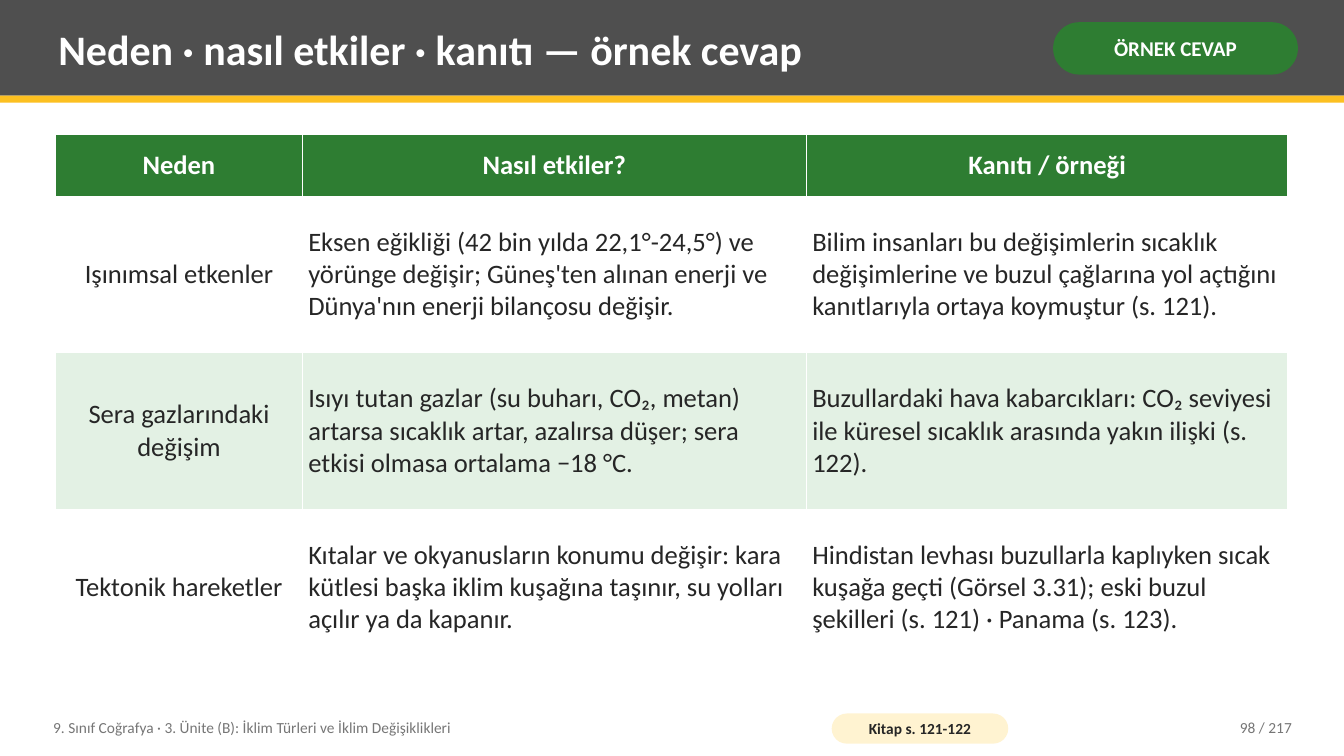
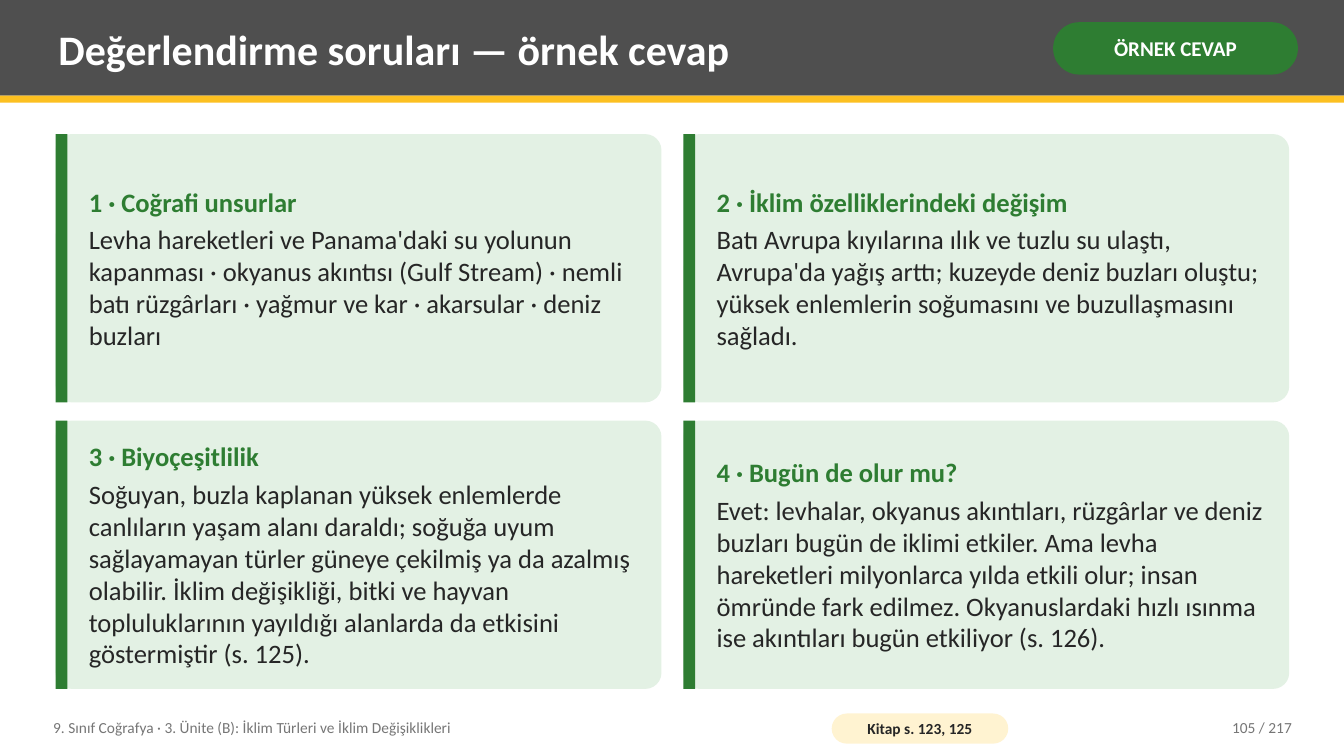
"""Build two sample-answer slides of a geography lesson: a cause table and four answer cards."""
from dataclasses import dataclass
from itertools import product

from lxml.etree import SubElement
from pptx import Presentation
from pptx.enum.shapes import MSO_SHAPE as Preset
from pptx.enum.text import MSO_ANCHOR as Anchor, MSO_AUTO_SIZE as AutoSize, PP_ALIGN as Align
from pptx.oxml.ns import qn
from pptx.dml.color import RGBColor
from pptx.util import Cm, Pt

COLORS = {
    "band": "4F4F4F",
    "accent": "FCC021",
    "green": "2E7D32",
    "mint": "E3F1E4",
    "cream": "FFF3D1",
    "ink": "262626",
    "muted": "767676",
    "white": "FFFFFF",
}
FONT = "Calibri"
SLIDE_WIDTH, SLIDE_HEIGHT = 33.87, 19.05
CONTENT_LEFT, CONTENT_TOP = 1.4, 3.38
TITLE_ONLY = 5
BADGE = "ÖRNEK CEVAP"
UNIT = "9. Sınıf Coğrafya · 3. Ünite (B): İklim Türleri ve İklim Değişiklikleri"
PAGE_TOTAL = 217


@dataclass(frozen=True)
class Box:
    left: float
    top: float
    width: float
    height: float

    def lengths(self) -> tuple:
        return Cm(self.left), Cm(self.top), Cm(self.width), Cm(self.height)


@dataclass(frozen=True)
class Style:
    size: int
    color: str
    bold: bool = False
    align: Align = Align.LEFT
    space_after: int = 0


@dataclass(frozen=True)
class Page:
    title: str
    book_pages: str
    number: int


@dataclass(frozen=True)
class Answer:
    heading: str
    body: str


TITLE = Style(30, "white", True)
BADGE_LABEL = Style(15, "white", True, Align.CENTER)
HEADER = Style(19, "white", True, Align.CENTER)
CAUSE = Style(19, "ink", align=Align.CENTER)
BODY = Style(19, "ink")
CARD_HEADING = Style(19, "green", True, space_after=4)
FOOTER = Style(11, "muted")
PAGE_NUMBER = Style(11, "muted", align=Align.RIGHT)
BOOK_LABEL = Style(11, "ink", True, Align.CENTER)

TABLE_PAGE = Page("Neden · nasıl etkiler · kanıtı — örnek cevap", "Kitap s. 121-122", 98)
CARDS_PAGE = Page("Değerlendirme soruları — örnek cevap", "Kitap s. 123, 125", 105)

COLUMN_WIDTHS = (6.22, 12.7, 12.14)
HEADER_HEIGHT, ROW_HEIGHT = 1.57, 3.94
CAUSES = (
    ("Neden", "Nasıl etkiler?", "Kanıtı / örneği"),
    (
        "Işınımsal etkenler",
        "Eksen eğikliği (42 bin yılda 22,1°-24,5°) ve yörünge değişir; "
        "Güneş'ten alınan enerji ve Dünya'nın enerji bilançosu değişir.",
        "Bilim insanları bu değişimlerin sıcaklık değişimlerine ve buzul çağlarına "
        "yol açtığını kanıtlarıyla ortaya koymuştur (s. 121).",
    ),
    (
        "Sera gazlarındaki değişim",
        "Isıyı tutan gazlar (su buharı, CO₂, metan) artarsa sıcaklık artar, "
        "azalırsa düşer; sera etkisi olmasa ortalama −18 °C.",
        "Buzullardaki hava kabarcıkları: CO₂ seviyesi ile küresel sıcaklık "
        "arasında yakın ilişki (s. 122).",
    ),
    (
        "Tektonik hareketler",
        "Kıtalar ve okyanusların konumu değişir: kara kütlesi başka iklim kuşağına "
        "taşınır, su yolları açılır ya da kapanır.",
        "Hindistan levhası buzullarla kaplıyken sıcak kuşağa geçti (Görsel 3.31); "
        "eski buzul şekilleri (s. 121) · Panama (s. 123).",
    ),
)

CARD_WIDTH, CARD_HEIGHT = 15.27, 6.76
CARD_GAP_X, CARD_GAP_Y = 0.55, 0.46
ANSWERS = (
    Answer(
        "1 · Coğrafi unsurlar",
        "Levha hareketleri ve Panama'daki su yolunun kapanması · okyanus akıntısı "
        "(Gulf Stream) · nemli batı rüzgârları · yağmur ve kar · akarsular · deniz buzları",
    ),
    Answer(
        "2 · İklim özelliklerindeki değişim",
        "Batı Avrupa kıyılarına ılık ve tuzlu su ulaştı, Avrupa'da yağış arttı; kuzeyde deniz "
        "buzları oluştu; yüksek enlemlerin soğumasını ve buzullaşmasını sağladı.",
    ),
    Answer(
        "3 · Biyoçeşitlilik",
        "Soğuyan, buzla kaplanan yüksek enlemlerde canlıların yaşam alanı daraldı; soğuğa uyum "
        "sağlayamayan türler güneye çekilmiş ya da azalmış olabilir. İklim değişikliği, bitki ve "
        "hayvan topluluklarının yayıldığı alanlarda da etkisini göstermiştir (s. 125).",
    ),
    Answer(
        "4 · Bugün de olur mu?",
        "Evet: levhalar, okyanus akıntıları, rüzgârlar ve deniz buzları bugün de iklimi etkiler. "
        "Ama levha hareketleri milyonlarca yılda etkili olur; insan ömründe fark edilmez. "
        "Okyanuslardaki hızlı ısınma ise akıntıları bugün etkiliyor (s. 126).",
    ),
)


def rgb(color: str) -> RGBColor:
    return RGBColor.from_string(COLORS[color])


def set_margins(target, side: float, edge: float) -> None:
    target.margin_left = target.margin_right = Cm(side)
    target.margin_top = target.margin_bottom = Cm(edge)


def write(frame, *lines: tuple[str, Style]) -> None:
    for index, (text, style) in enumerate(lines):
        paragraph = frame.add_paragraph() if index else frame.paragraphs[0]
        paragraph.text = text
        paragraph.alignment = style.align
        paragraph.space_before = Pt(0)
        paragraph.space_after = Pt(style.space_after)
        font = paragraph.font
        font.name, font.size, font.bold = FONT, Pt(style.size), style.bold
        font.color.rgb = rgb(style.color)


def write_frame(frame, *lines: tuple[str, Style], side: float = 0.2, edge: float = 0.1) -> None:
    frame.word_wrap = True
    frame.auto_size = AutoSize.NONE
    frame.vertical_anchor = Anchor.MIDDLE
    set_margins(frame, side, edge)
    write(frame, *lines)


def add_text(slide, box: Box, *lines: tuple[str, Style]) -> None:
    write_frame(slide.shapes.add_textbox(*box.lengths()).text_frame, *lines)


def add_block(slide, box: Box, color: str, rounding: float = 0):
    preset = Preset.ROUNDED_RECTANGLE if rounding else Preset.RECTANGLE
    block = slide.shapes.add_shape(preset, *box.lengths())
    if rounding:
        block.adjustments[0] = rounding
    block.shadow.inherit = False
    block.fill.solid()
    block.fill.fore_color.rgb = rgb(color)
    block.line.fill.background()
    return block


def add_page(deck, page: Page):
    slide = deck.slides.add_slide(deck.slide_layouts[TITLE_ONLY])
    title = slide.shapes.title
    title.left, title.top, title.width, title.height = Box(1.27, 0.18, 24.77, 2.08).lengths()
    write_frame(title.text_frame, (page.title, TITLE))
    for top, height, color in ((0, 2.41, "band"), (2.41, 0.18, "accent")):
        band = add_block(slide, Box(0, top, SLIDE_WIDTH, height), color)
        title.element.addprevious(band.element)

    badge = add_block(slide, Box(26.54, 0.56, 6.17, 1.32), "green", 0.5)
    write_frame(badge.text_frame, (BADGE, BADGE_LABEL), side=0.13, edge=0.05)

    add_text(slide, Box(1.14, 17.88, 19.3, 0.91), (UNIT, FOOTER))
    book = add_block(slide, Box(20.96, 17.98, 4.45, 0.76), "cream", 0.5)
    write_frame(book.text_frame, (page.book_pages, BOOK_LABEL), side=0.1, edge=0)
    add_text(slide, Box(28.7, 17.88, 4.06, 0.91), (f"{page.number} / {PAGE_TOTAL}", PAGE_NUMBER))
    return slide


def add_borders(cell, color: str, width: float) -> None:
    properties = cell._tc.get_or_add_tcPr()
    for side in ("a:lnL", "a:lnR", "a:lnT", "a:lnB"):
        line = SubElement(properties, qn(side), w=str(Pt(width)))
        SubElement(SubElement(line, qn("a:solidFill")), qn("a:srgbClr"), val=COLORS[color])


def add_cause_table(slide) -> None:
    row_heights = [HEADER_HEIGHT] + [ROW_HEIGHT] * (len(CAUSES) - 1)
    box = Box(CONTENT_LEFT, CONTENT_TOP, sum(COLUMN_WIDTHS), sum(row_heights))
    table = slide.shapes.add_table(len(CAUSES), len(COLUMN_WIDTHS), *box.lengths()).table
    table.horz_banding = False
    for column, width in zip(table.columns, COLUMN_WIDTHS):
        column.width = Cm(width)
    for row, height in zip(table.rows, row_heights):
        row.height = Cm(height)
    for row_index, texts in enumerate(CAUSES):
        fill = "green" if row_index == 0 else ("mint", "white")[row_index % 2]
        for column_index, text in enumerate(texts):
            style = HEADER if row_index == 0 else BODY if column_index else CAUSE
            cell = table.cell(row_index, column_index)
            add_borders(cell, "white", 0.96)
            cell.fill.solid()
            cell.fill.fore_color.rgb = rgb(fill)
            cell.vertical_anchor = Anchor.MIDDLE
            set_margins(cell, 0.15, 0.13)
            write(cell.text_frame, (text, style))


def add_card(slide, left: float, top: float, answer: Answer) -> None:
    add_block(slide, Box(left, top, CARD_WIDTH, CARD_HEIGHT), "mint", 0.06)
    add_block(slide, Box(left, top, 0.3, CARD_HEIGHT), "green")
    inner = Box(left + 0.64, top + 0.15, CARD_WIDTH - 0.89, CARD_HEIGHT - 0.3)
    add_text(slide, inner, (answer.heading, CARD_HEADING), (answer.body, BODY))


def main() -> None:
    deck = Presentation()
    deck.slide_width, deck.slide_height = Cm(SLIDE_WIDTH), Cm(SLIDE_HEIGHT)
    add_cause_table(add_page(deck, TABLE_PAGE))
    cards_slide = add_page(deck, CARDS_PAGE)
    for (row, column), answer in zip(product(range(2), repeat=2), ANSWERS):
        left = CONTENT_LEFT + column * (CARD_WIDTH + CARD_GAP_X)
        top = CONTENT_TOP + row * (CARD_HEIGHT + CARD_GAP_Y)
        add_card(cards_slide, left, top, answer)
    deck.save("out.pptx")


if __name__ == "__main__":
    main()
